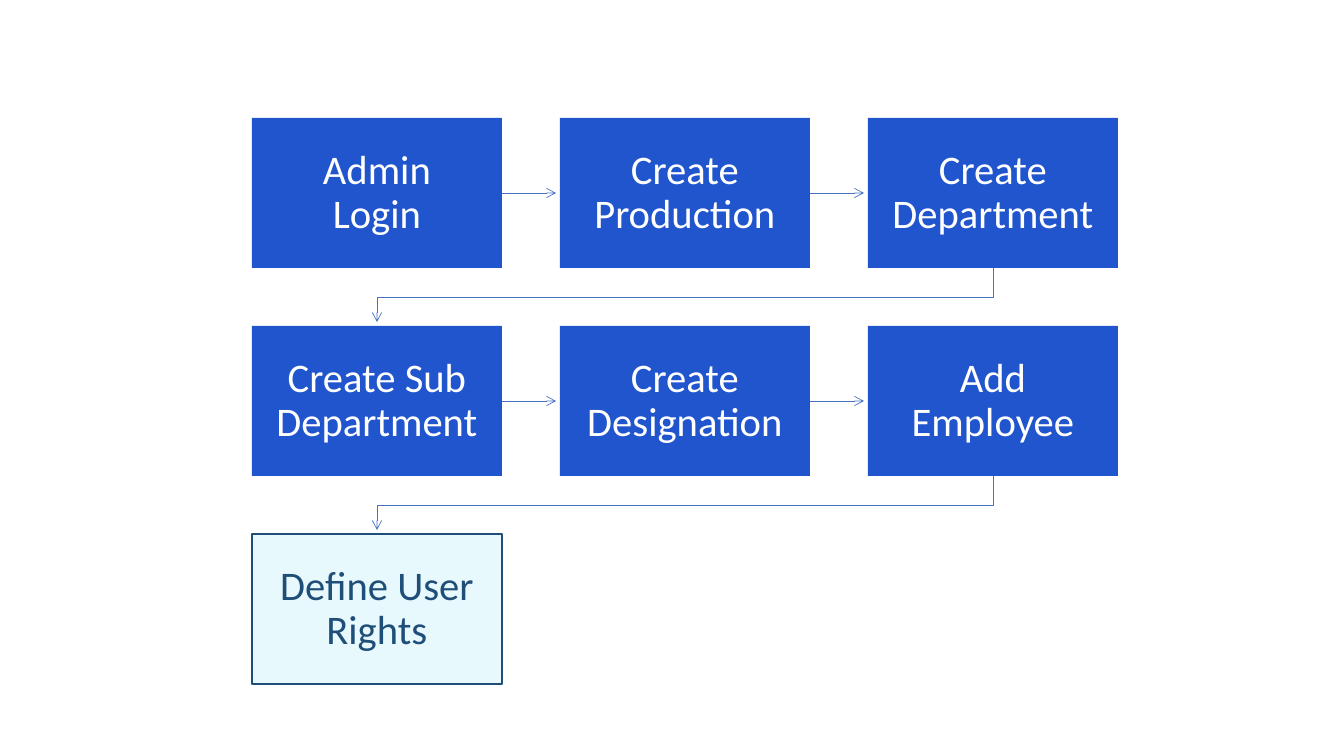
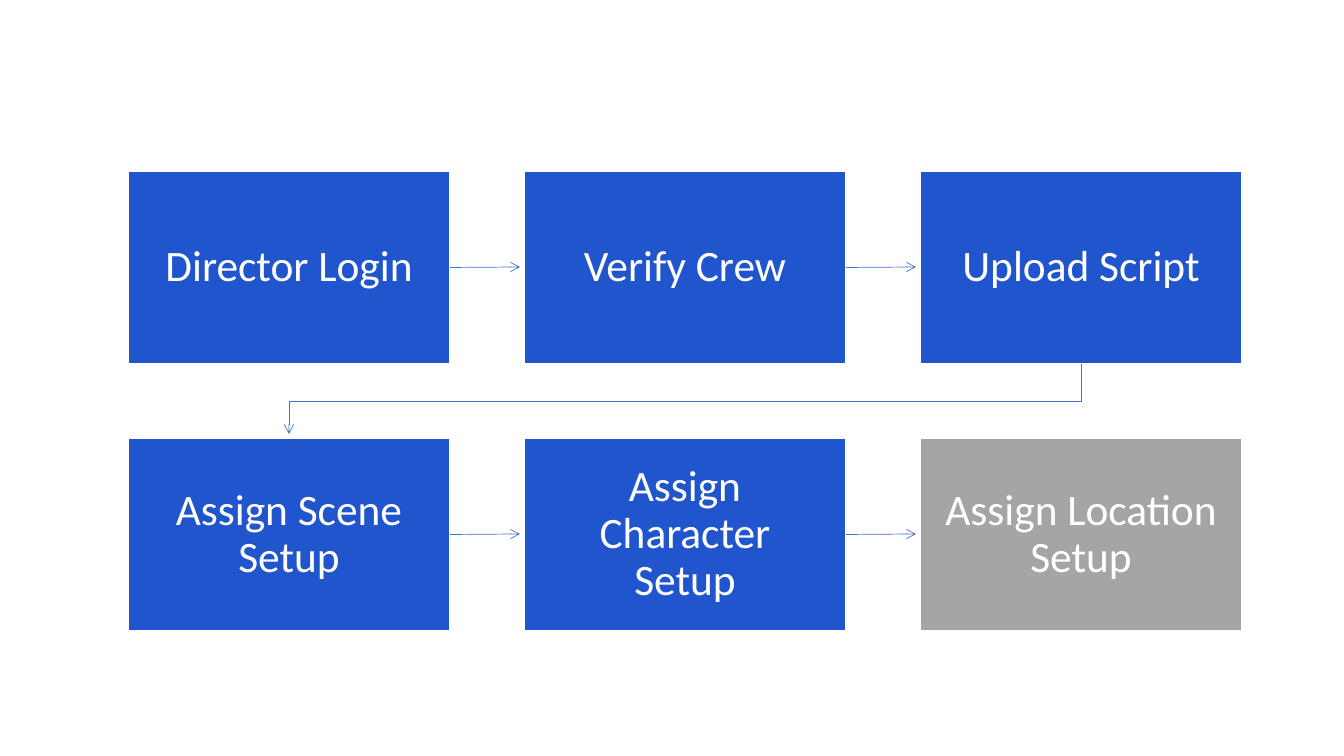
from dataclasses import dataclass

from lxml import etree
from pptx import Presentation
from pptx.dml.color import RGBColor
from pptx.enum.shapes import MSO_CONNECTOR, MSO_SHAPE
from pptx.enum.text import MSO_ANCHOR, PP_ALIGN
from pptx.oxml.ns import qn
from pptx.util import Emu, Pt

RECT = MSO_SHAPE.RECTANGLE
STRAIGHT = MSO_CONNECTOR.STRAIGHT
MIDDLE = MSO_ANCHOR.MIDDLE
CENTER = PP_ALIGN.CENTER

BLUE = RGBColor(0x21, 0x55, 0xCD)
PALE = RGBColor(0xE8, 0xF9, 0xFD)
NAVY = RGBColor(0x1F, 0x4E, 0x79)
GRAY = RGBColor(0xA5, 0xA5, 0xA5)
WHITE = RGBColor(0xFF, 0xFF, 0xFF)
ARROW = RGBColor(0x44, 0x72, 0xC4)

FONT = "Calibri"
COLS = 3
GAP = 4  # space between an arrow tip and its box
RIGHT = 3


@dataclass(frozen=True)
class Look:
    fill: RGBColor
    text: RGBColor
    edge: RGBColor | None = None


@dataclass(frozen=True)
class Flow:
    left: int
    top: int
    width: int
    height: int
    step_x: int
    step_y: int
    inset: int
    size: int
    look: Look
    last: Look
    steps: tuple[str, ...]

    def place(self, index: int) -> tuple[int, int]:
        row, col = divmod(index, COLS)
        return self.left + col * self.step_x, self.top + row * self.step_y


FLOWS = (
    Flow(252, 118, 250, 150, 308, 208, 23, 29,
         Look(BLUE, WHITE), Look(PALE, NAVY, NAVY),
         ("Admin Login", "Create Production", "Create Department",
          "Create Sub Department", "Create Designation", "Add Employee",
          "Define User Rights")),
    Flow(128, 171, 322, 193, 396, 267, 24, 31,
         Look(BLUE, WHITE, WHITE), Look(GRAY, WHITE, WHITE),
         ("Director Login", "Verify Crew", "Upload Script",
          "Assign Scene Setup", "Assign Character Setup",
          "Assign Location Setup")),
)


def px(count: int) -> Emu:
    return Emu(round(count * 914400 / 100.8))


def style_arrow(shape) -> None:
    """Thin line, open arrowhead at the end, no shadow."""
    shape.line.color.rgb = ARROW
    shape.line.width = Pt(0.5)
    props = shape.element.spPr
    etree.SubElement(props.find(qn("a:ln")), qn("a:tailEnd"), type="arrow")
    etree.SubElement(props, qn("a:effectLst"))


def add_box(slide, flow: Flow, index: int):
    left, top = flow.place(index)
    look = flow.last if index == len(flow.steps) - 1 else flow.look
    box = slide.shapes.add_shape(
        RECT, px(left), px(top), px(flow.width), px(flow.height))
    box.shadow.inherit = False
    box.fill.solid()
    box.fill.fore_color.rgb = look.fill
    if look.edge is None:
        box.line.fill.background()
    else:
        box.line.color.rgb = look.edge
        box.line.width = Pt(1)

    # Label
    frame = box.text_frame
    frame.text = flow.steps[index]
    frame.word_wrap = True
    frame.vertical_anchor = MIDDLE
    frame.margin_left = frame.margin_right = px(flow.inset)
    frame.margin_top = frame.margin_bottom = px(flow.inset)
    para = frame.paragraphs[0]
    para.alignment = CENTER
    para.line_spacing = 0.9
    font = para.runs[0].font
    font.name = FONT
    font.size = Pt(flow.size)
    font.color.rgb = look.text
    return box


def add_link(slide, flow: Flow, box, index: int) -> None:
    """Arrow from one step to the next, along the row or down to a new one."""
    left, top = flow.place(index)
    to_left, to_top = flow.place(index + 1)
    half = flow.width // 2
    if to_top == top:
        level = px(top + flow.height // 2)
        link = slide.shapes.add_connector(
            STRAIGHT, px(left + flow.width), level, px(to_left - GAP), level)
        link.begin_connect(box, RIGHT)
    else:
        base = top + flow.height
        turn = (base + to_top) // 2
        start, end = px(left + half), px(to_left + half)
        path = slide.shapes.build_freeform(start, px(base))
        path.add_line_segments(
            [(start, px(turn)), (end, px(turn)), (end, px(to_top - GAP))],
            close=False)
        link = path.convert_to_shape()
        link.fill.background()
    style_arrow(link)


def add_flow(deck, flow: Flow) -> None:
    slide = deck.slides.add_slide(deck.slide_layouts[6])
    boxes = [add_box(slide, flow, i) for i in range(len(flow.steps))]
    for index, box in enumerate(boxes[:-1]):
        add_link(slide, flow, box, index)


def main() -> None:
    deck = Presentation()
    deck.slide_width = px(1344)
    deck.slide_height = px(756)
    for flow in FLOWS:
        add_flow(deck, flow)
    deck.save("out.pptx")


if __name__ == "__main__":
    main()
